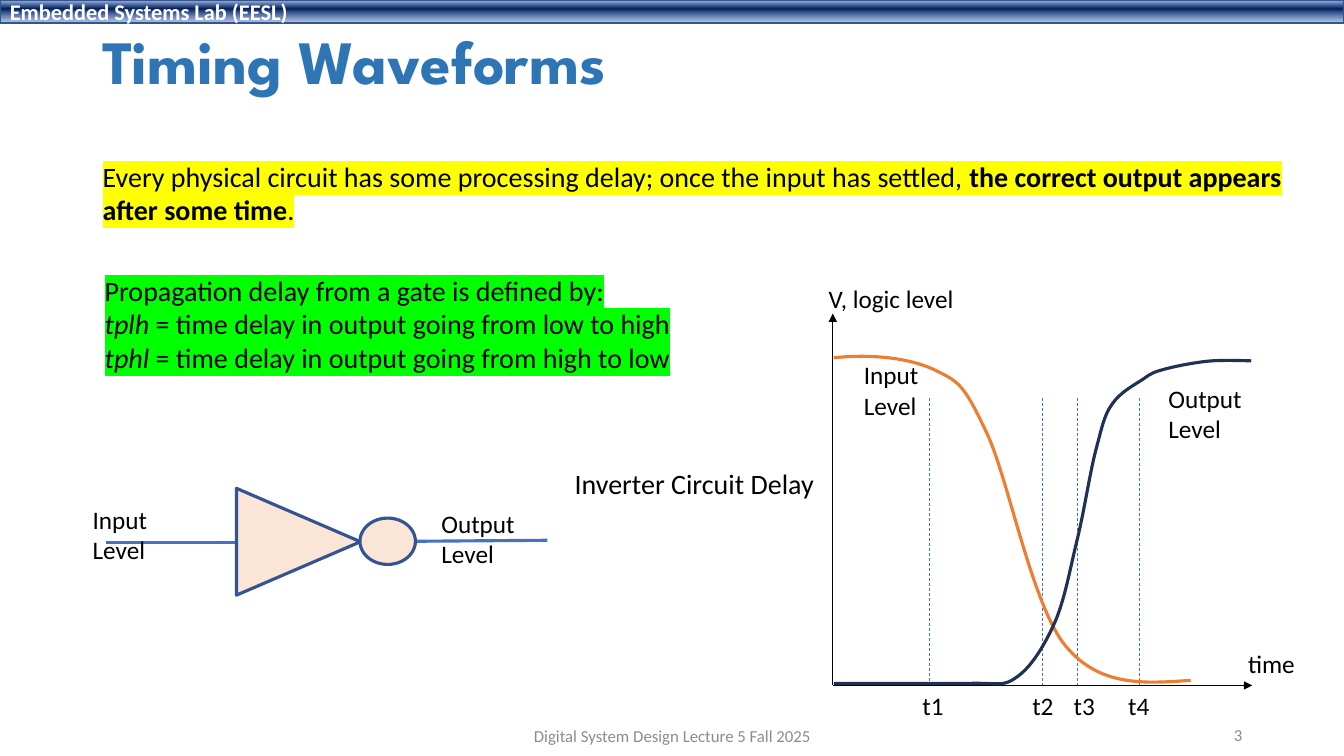
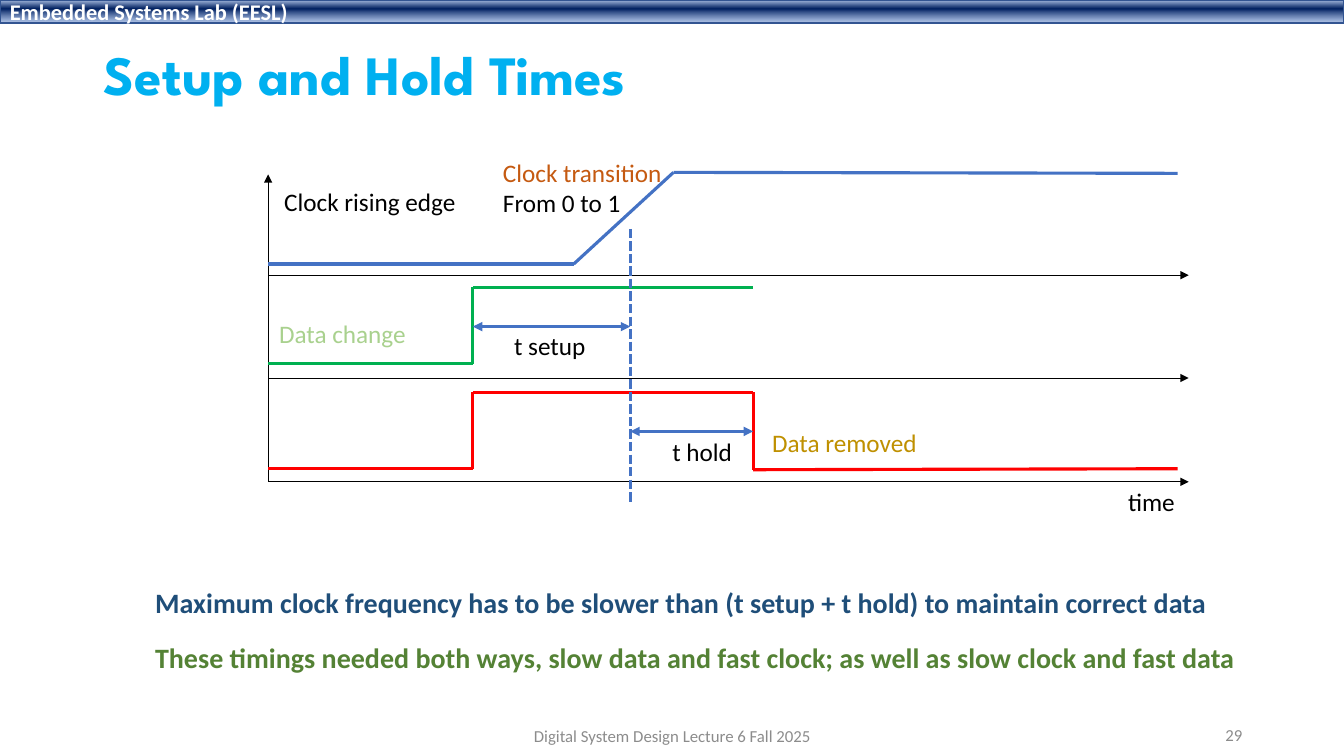
"""Build two slides on gate delay and on setup and hold times."""
import itertools

import lxml.etree
import pptx
import pptx.dml.color
import pptx.enum.dml
import pptx.enum.shapes
import pptx.enum.text
import pptx.oxml.ns
import pptx.util

PX = 9144
WIDE, HIGH = 1333, 750


class Theme:
    head, body = "League Spartan", "Calibri"
    black, white, grey = "000000", "FFFFFF", "8C8C8C"
    blue, edge, skin = "4472C4", "325491", "FBE5D6"
    navy, orange = "1E3256", "ED7D31"
    green, red = "00B050", "FF0000"
    lime, gold, rust = "A9D18E", "BF9000", "C55A11"
    deep, moss = "1F4E79", "548235"
    yellow, neon = "FFFF00", "00FF00"
    steel, sky = "2E75B6", "00B0F0"
    fade = [(2, "ABC0E4", 100), (38, "002060", 100), (93, "7E9ED6", 64)]
    small, label, lead, band = 12, 18, 20, 16
    thin, bold = 0.5, 2.25


BAND = "Embedded Systems Lab (EESL)"
FOOT = "Digital System Design Lecture {} Fall 2025"

PAGES = [
    {"title": "Timing Waveforms", "box": (92, 26, 1150, 77), "size": 44,
     "ink": Theme.steel, "week": 5, "page": 3},
    {"title": "Setup and Hold Times", "box": (93, 40, 1150, 74), "size": 39.6,
     "ink": Theme.sky, "week": 6, "page": 29},
]

NOTES = [
    ((92, 153, 1196, 77), Theme.yellow, [
        [("Every physical circuit has some processing delay; "
          "once the input has settled, ", ""),
         ("the correct output appears", "b")],
        [("after some time", "b"), (".", "")]]),
    ((94, 266, 586, 111), Theme.neon, [
        [("Propagation delay from a gate is defined by:", "")],
        [("tplh", "i"), (" = time delay in output going from low to high", "")],
        [("tphl", "i"), (" = time delay in output going from high to low", "")]]),
    ((560, 458, 260, 44), None, [[("Inverter Circuit Delay", "")]]),
]
LABELS = [
    ((1228, 638, 67, 40), ["time"]),
    ((812, 276, 146, 40), ["V, logic level"]),
    ((847, 352, 75, 71), ["Input", "Level"]),
    ((1149, 375, 94, 71), ["Output", "Level"]),
    ((82, 495, 75, 71), ["Input", "Level"]),
    ((428, 499, 94, 71), ["Output", "Level"]),
]
TIMES = [("t1", 922, 905), ("t2", 1034, 1014),
         ("t3", 1069, 1055), ("t4", 1130, 1109)]
AXES = [[(826, 680), (826, 311)], [(826, 680), (1242, 680)]]
WIRES = [[(105, 538), (235, 538)], [(413, 537), (543, 536)]]
CURVES = [
    (Theme.orange, [
        (827, 355), (864, 351), (902, 355), (927, 367), (952, 379), (956, 382),
        (978, 428), (1000, 473), (1023, 600), (1057, 641), (1091, 682),
        (1136, 678), (1181, 675)]),
    (Theme.navy, [
        (827, 678), (871, 678), (915, 678), (960, 678), (991, 677), (994, 682),
        (1008, 672), (1023, 662), (1036, 640), (1046, 618), (1056, 595),
        (1061, 566), (1068, 537), (1075, 509), (1081, 469), (1087, 446),
        (1093, 424), (1095, 412), (1103, 401), (1111, 389), (1125, 382),
        (1134, 376), (1142, 370), (1145, 369), (1156, 366), (1167, 363),
        (1188, 359), (1202, 358), (1216, 357), (1241, 358), (1241, 358)]),
]

LEFT, RIGHT, TOP = 266, 1179, 173
ROWS = (478, 375, 273)
RISE, EDGE, FALL, STOP = 469, 625, 747, 1168
WAVES = [
    (Theme.blue, [(LEFT, 262), (569, 262), (668, 171), (STOP, 172)]),
    (Theme.green, [(LEFT, 361), (RISE, 361), (RISE, 285), (FALL, 285)]),
    (Theme.red, [(LEFT, 465), (RISE, 465), (RISE, 389), (FALL, 389),
                 (FALL, 466), (STOP, 465)]),
]
SPANS = [[(RISE, 324), (EDGE, 324)], [(EDGE, 428), (FALL, 428)]]
TAGS = [
    ((272, 180, 192, 40), [("Clock rising edge", Theme.black)]),
    ((489, 151, 179, 71), [("Clock transition", Theme.rust),
                           ("From 0 to 1", Theme.black)]),
    ((267, 311, 147, 40), [("Data change", Theme.lime)]),
    ((756, 419, 165, 40), [("Data removed", Theme.gold)]),
    ((500, 323, 92, 40), [("t setup", Theme.black)]),
    ((657, 428, 80, 40), [("t hold", Theme.black)]),
    ((1109, 478, 67, 40), [("time", Theme.black)]),
]
RULES = [
    ((144, 576, 1071, 44), Theme.deep,
     "Maximum clock frequency has to be slower than (t setup + t hold) "
     "to maintain correct data"),
    ((144, 631, 1100, 44), Theme.moss,
     "These timings needed both ways, slow data and fast clock; "
     "as well as slow clock and fast data"),
]

qn = pptx.oxml.ns.qn
ALIGN = pptx.enum.text.PP_ALIGN
MID = pptx.enum.text.MSO_ANCHOR.MIDDLE
SHAPE = pptx.enum.shapes.MSO_SHAPE
DASH = pptx.enum.dml.MSO_LINE


def rgb(code):
    return pptx.dml.color.RGBColor.from_string(code)


def emu(nums):
    return [round(n * PX) for n in nums]


def node(home, tag, **attrs):
    return lxml.etree.SubElement(home, qn(tag), attrs)


def ink(run, size, hue, flags="", face=Theme.body, mark=None):
    font = run.font
    font.name, font.size = face, pptx.util.Pt(size)
    font.bold, font.italic = "b" in flags, "i" in flags
    font.color.rgb = rgb(hue)
    if mark:
        glow = lxml.etree.Element(qn("a:highlight"))
        node(glow, "a:srgbClr", val=mark)
        run.font.color
        run._r.find(".//" + qn("a:solidFill")).addnext(glow)


def fill(frame, paras, size, align=ALIGN.LEFT, **style):
    for n, runs in enumerate(paras):
        para = frame.paragraphs[0] if n == 0 else frame.add_paragraph()
        para.alignment = align
        for text, hue, flags in runs:
            run = para.add_run()
            run.text = text
            ink(run, size, hue, flags, **style)


def text(slide, box, paras, size, wrap=False, anchor=None, **style):
    frame = slide.shapes.add_textbox(*emu(box)).text_frame
    frame.word_wrap = wrap
    if anchor is not None:
        frame.vertical_anchor = anchor
    fill(frame, paras, size, **style)


def pen(shape, hue, width):
    shape.line.color.rgb = rgb(hue)
    shape.line.width = pptx.util.Pt(width)


def line(slide, ends, hue, width, dash=None, tips=()):
    kind = pptx.enum.shapes.MSO_CONNECTOR.STRAIGHT
    wire = slide.shapes.add_connector(kind, *emu(ends[0] + ends[1]))
    pen(wire, hue, width)
    if dash is not None:
        wire.line.dash_style = dash
    props = wire.element.spPr
    for tip in tips:
        node(props.find(qn("a:ln")), tip, type="triangle")
    node(props, "a:effectLst")


def axis(slide, ends):
    line(slide, ends, Theme.black, Theme.thin, tips=["a:tailEnd"])


def solid(slide, kind, box, hue):
    shape = slide.shapes.add_shape(kind, *emu(box))
    shape.shadow.inherit = False
    shape.fill.solid()
    shape.fill.fore_color.rgb = rgb(hue)
    pen(shape, Theme.edge, Theme.bold)
    return shape


def curve(slide, hue, dots):
    pen_path = slide.shapes.build_freeform(*dots[0], scale=float(PX))
    pen_path.add_line_segments(dots[1:], close=False)
    shape = pen_path.convert_to_shape()
    shape.shadow.inherit = False
    shape.fill.background()
    pen(shape, hue, Theme.bold)
    steps = list(shape.element.iter(qn("a:lnTo")))
    for n in range(0, len(steps), 3):
        bend = lxml.etree.Element(qn("a:cubicBezTo"))
        steps[n].addprevious(bend)
        for step in steps[n:n + 3]:
            bend.append(step[0])
            step.getparent().remove(step)


def band(slide, layout):
    bar = solid(slide, SHAPE.RECTANGLE, (0, 0, WIDE, 23), Theme.navy)
    pen(bar, Theme.edge, 1)
    bar.fill.gradient()
    bar.fill.gradient_angle = 270
    stops = bar.element.spPr.find(".//" + qn("a:gsLst"))
    for stop in list(stops):
        stops.remove(stop)
    for place, hue, alpha in Theme.fade:
        stop = node(stops, "a:gs", pos=str(place * 1000))
        tint = node(stop, "a:srgbClr", val=hue)
        node(tint, "a:alpha", val=str(alpha * 1000))
    bar.text_frame.vertical_anchor = MID
    fill(bar.text_frame, [[(BAND, Theme.white, "b")]], Theme.band)
    layout.shapes.element.append(bar.element)


def start(deck, layout, page):
    slide = deck.slides.add_slide(layout)
    title = slide.shapes.title
    title.left, title.top, title.width, title.height = emu(page["box"])
    frame = title.text_frame
    frame.auto_size = pptx.enum.text.MSO_AUTO_SIZE.NONE
    frame.vertical_anchor = MID
    fill(frame, [[(page["title"], page["ink"], "b")]], page["size"],
         face=Theme.head)
    frame.paragraphs[0].line_spacing = 0.9
    for box, words, align in [
            ((442, 710, 450, 40), FOOT.format(page["week"]), ALIGN.CENTER),
            ((942, 709, 300, 40), str(page["page"]), ALIGN.RIGHT)]:
        text(slide, box, [[(words, Theme.grey, "")]], Theme.small,
             wrap=True, anchor=MID, align=align)
    return slide


def delay(slide):
    for box, mark, paras in NOTES:
        rows = [[(words, Theme.black, flags) for words, flags in runs]
                for runs in paras]
        text(slide, box, rows, Theme.lead, mark=mark)
    for ends in AXES:
        axis(slide, ends)
    for name, x, left in TIMES:
        line(slide, [(x, 395), (x, 680)], Theme.blue, Theme.thin, DASH.DASH)
        text(slide, (left, 680, 41, 40), [[(name, Theme.black, "")]],
             Theme.label)
    for ends in WIRES:
        line(slide, ends, Theme.blue, Theme.bold)
    gate = solid(slide, SHAPE.ISOSCELES_TRIANGLE, (243, 476, 106, 123),
                 Theme.skin)
    gate.rotation = 90
    solid(slide, SHAPE.OVAL, (357, 514, 55, 46), Theme.skin)
    for box, rows in LABELS:
        text(slide, box, [[(row, Theme.black, "")] for row in rows],
             Theme.label)
    for hue, dots in CURVES:
        curve(slide, hue, dots)


def setup(slide):
    axis(slide, [(LEFT, ROWS[0]), (LEFT, TOP)])
    for y in ROWS:
        axis(slide, [(LEFT, y), (RIGHT, y)])
    for hue, dots in WAVES:
        for ends in itertools.pairwise(dots):
            line(slide, ends, hue, Theme.bold)
    line(slide, [(EDGE, 227), (EDGE, 499)], Theme.blue, Theme.bold,
         DASH.SQUARE_DOT)
    for ends in SPANS:
        line(slide, ends, Theme.blue, Theme.bold,
             tips=["a:headEnd", "a:tailEnd"])
    for box, rows in TAGS:
        text(slide, box, [[(row, hue, "")] for row, hue in rows], Theme.label)
    for box, hue, words in RULES:
        text(slide, box, [[(words, hue, "b")]], Theme.lead)


def main():
    deck = pptx.Presentation()
    deck.slide_width, deck.slide_height = emu((WIDE, HIGH))
    layout = deck.slide_layouts.get_by_name("Title Only")
    slides = [start(deck, layout, page) for page in PAGES]
    band(slides[0], layout)
    delay(slides[0])
    setup(slides[1])
    deck.save("out.pptx")


if __name__ == "__main__":
    main()
